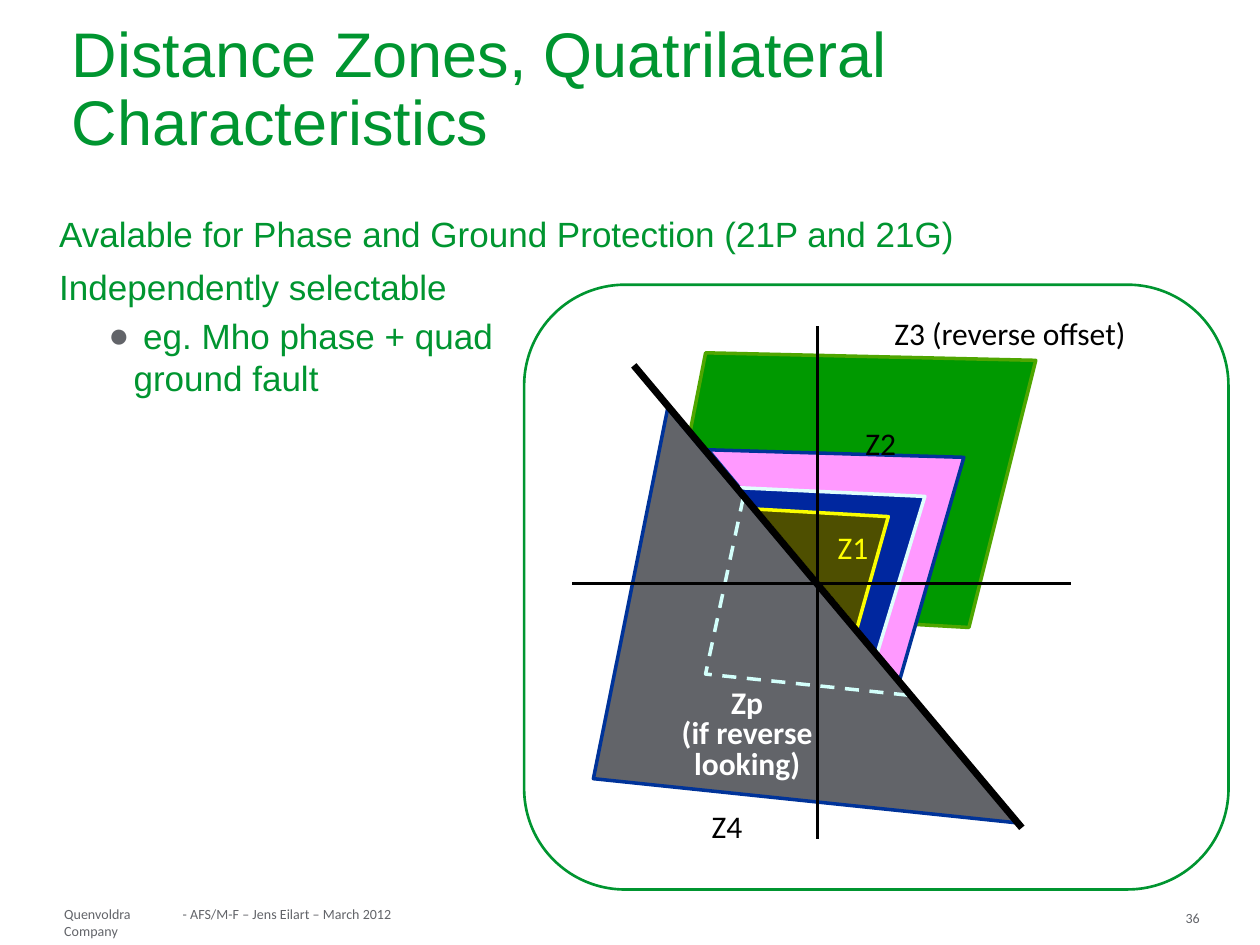
"""Build the slide on quadrilateral distance protection zones."""
from dataclasses import dataclass
from typing import Optional

from lxml.etree import SubElement
from pptx import Presentation
from pptx.dml.color import RGBColor
from pptx.enum.dml import MSO_LINE_DASH_STYLE as Dash
from pptx.enum.shapes import MSO_CONNECTOR as Connector, MSO_SHAPE as Shape
from pptx.enum.text import MSO_ANCHOR as Anchor, PP_ALIGN as Align
from pptx.oxml.ns import qn
from pptx.util import Inches, Pt


@dataclass(frozen=True)
class Theme:
    heading_font: str = "Arial"
    label_font: str = "Calibri"
    green: str = "009530"
    grey: str = "626469"
    black: str = "000000"
    white: str = "FFFFFF"
    yellow: str = "FFFF00"
    navy: str = "003399"
    title_size: int = 36
    body_size: int = 20
    label_size: int = 18
    footer_size: int = 8
    zone_line: float = 2


THEME = Theme()


@dataclass(frozen=True)
class TextItem:
    text: str
    at: tuple[float, float, float, float]
    size: int = THEME.label_size
    color: str = THEME.black
    font: str = THEME.label_font
    bold: bool = False
    align: Align = Align.LEFT
    anchor: Anchor = Anchor.TOP
    spacing: float = 1
    margins: tuple[float, float, float, float] = (0.1, 0.05, 0.1, 0.05)
    wrap: bool = False


@dataclass(frozen=True)
class Zone:
    points: tuple[tuple[float, float], ...]
    fill: Optional[str]
    line: str
    dash: Optional[Dash] = None


@dataclass(frozen=True)
class Axis:
    start: tuple[float, float]
    end: tuple[float, float]
    width: float = THEME.zone_line


FLUSH = (0, 0, 0, 0)
FOOTER = dict(size=THEME.footer_size, color=THEME.grey, margins=FLUSH)
HEADING = dict(color=THEME.green, font=THEME.heading_font, wrap=True)

FOOTERS = (
    TextItem("Quenvoldra Company", (0.51, 7.19, 0.88, 0.13), **FOOTER),
    TextItem("36", (9.41, 7.22, 0.32, 0.08), **FOOTER),
    TextItem("- AFS/M-F – Jens Eilart – March 2012", (1.45, 7.19, 1.75, 0.13), **FOOTER),
)
TITLE = TextItem("Distance Zones, Quatrilateral Characteristics", (0.47, 0.09, 9.06, 1.26),
                 size=THEME.title_size, anchor=Anchor.MIDDLE, spacing=0.9, **HEADING)
BODY = TextItem("Avalable for Phase and Ground Protection (21P and 21G)\n"
                "Independently selectable\n"
                " eg. Mho phase + quad \vground fault", (0.47, 1.65, 9.27, 4.04),
                size=THEME.body_size, spacing=1.1, margins=(0, 0, 0.02, 0.01), **HEADING)
ZONES = (
    Zone(((5.2, 4.84), (5.6, 2.8), (8.22, 2.86), (7.69, 4.98)), "009900", "4FA600"),
    Zone(((5.3, 3.24), (4.71, 6.18), (8.07, 6.53)), THEME.grey, THEME.navy),
    Zone(((5.9, 3.95), (5.6, 5.35), (7.23, 5.52)), None, "D3FFFB", Dash.DASH),
    Zone(((5.62, 3.57), (7.65, 3.63), (7.14, 5.4)), "FF99FF", THEME.navy),
    Zone(((5.85, 3.87), (7.34, 3.94), (6.96, 5.19)), "00279F", "E0FFFC"),
    Zone(((6, 4.04), (7.05, 4.1), (6.8, 4.99)), "4E4F00", "FAFD00"),
)
AXES = (
    Axis((4.54, 4.63), (8.5, 4.63)),
    Axis((6.49, 2.59), (6.49, 6.66)),
    Axis((5.03, 2.9), (8.11, 6.57), 4),
)
LABELS = (
    TextItem("Z3 (reverse offset)", (7, 2.5, 2.26, 0.34), spacing=0.8),
    TextItem(" Zp \n(if reverse\nlooking)", (5.27, 5.43, 1.32, 0.82), color=THEME.white,
             bold=True, align=Align.CENTER, spacing=0.8),
    TextItem("Z4", (5.55, 6.36, 0.5, 0.4)),
    TextItem("Z2", (6.77, 3.32, 0.49, 0.4)),
    TextItem("Z1", (6.55, 4.14, 0.45, 0.4), color=THEME.yellow),
)


def rgb(color: str) -> RGBColor:
    return RGBColor.from_string(color)


def add_text(page, item: TextItem):
    box = page.shapes.add_textbox(*map(Inches, item.at))
    frame = box.text_frame
    frame.word_wrap = item.wrap
    frame.vertical_anchor = item.anchor
    (frame.margin_left, frame.margin_top,
     frame.margin_right, frame.margin_bottom) = map(Inches, item.margins)
    frame.text = item.text
    for para in frame.paragraphs:
        para.alignment = item.align
        para.line_spacing = item.spacing
        for span in para.runs:
            span.font.name = item.font
            span.font.size = Pt(item.size)
            span.font.bold = item.bold
            span.font.color.rgb = rgb(item.color)
    return box


def add_body(page) -> None:
    paras = add_text(page, BODY).text_frame.paragraphs
    for para in paras:
        para.space_before = Pt(4)
    bullet = paras[-1]
    bullet.line_spacing = None
    bullet.level = 1
    props = bullet._p.get_or_add_pPr()
    props.set("marL", str(Inches(0.59)))
    props.set("indent", str(Inches(-0.2)))
    SubElement(SubElement(props, qn("a:buClr")), qn("a:srgbClr")).set("val", THEME.grey)
    SubElement(props, qn("a:buFont")).set("typeface", THEME.heading_font)
    SubElement(props, qn("a:buChar")).set("char", "●")


def style_shape(shape, fill: Optional[str], line: str, width: float) -> None:
    shape.shadow.inherit = False
    if fill:
        shape.fill.solid()
        shape.fill.fore_color.rgb = rgb(fill)
    else:
        shape.fill.background()
    shape.line.color.rgb = rgb(line)
    shape.line.width = Pt(width)


def add_frame(page) -> None:
    frame = page.shapes.add_shape(Shape.ROUNDED_RECTANGLE, *map(Inches, (4.16, 2.26, 5.59, 4.8)))
    style_shape(frame, None, THEME.green, 1.5)


def add_zone(page, zone: Zone) -> None:
    start, *rest = [tuple(map(Inches, point)) for point in zone.points]
    builder = page.shapes.build_freeform(*start)
    builder.add_line_segments(rest, close=True)
    shape = builder.convert_to_shape()
    style_shape(shape, zone.fill, zone.line, THEME.zone_line)
    if zone.dash:
        shape.line.dash_style = zone.dash


def add_axis(page, axis: Axis) -> None:
    line = page.shapes.add_connector(Connector.STRAIGHT, *map(Inches, axis.start + axis.end))
    line.line.color.rgb = rgb(THEME.black)
    line.line.width = Pt(axis.width)
    SubElement(line._element.spPr, qn("a:effectLst"))


def main() -> None:
    deck = Presentation()
    deck.slide_width, deck.slide_height = Inches(10), Inches(7.5)
    page = deck.slides.add_slide(deck.slide_layouts[6])
    for item in (*FOOTERS, TITLE):
        add_text(page, item)
    add_body(page)
    add_frame(page)
    for zone in ZONES:
        add_zone(page, zone)
    for axis in AXES:
        add_axis(page, axis)
    for label in LABELS:
        add_text(page, label)
    deck.save("out.pptx")


main()
